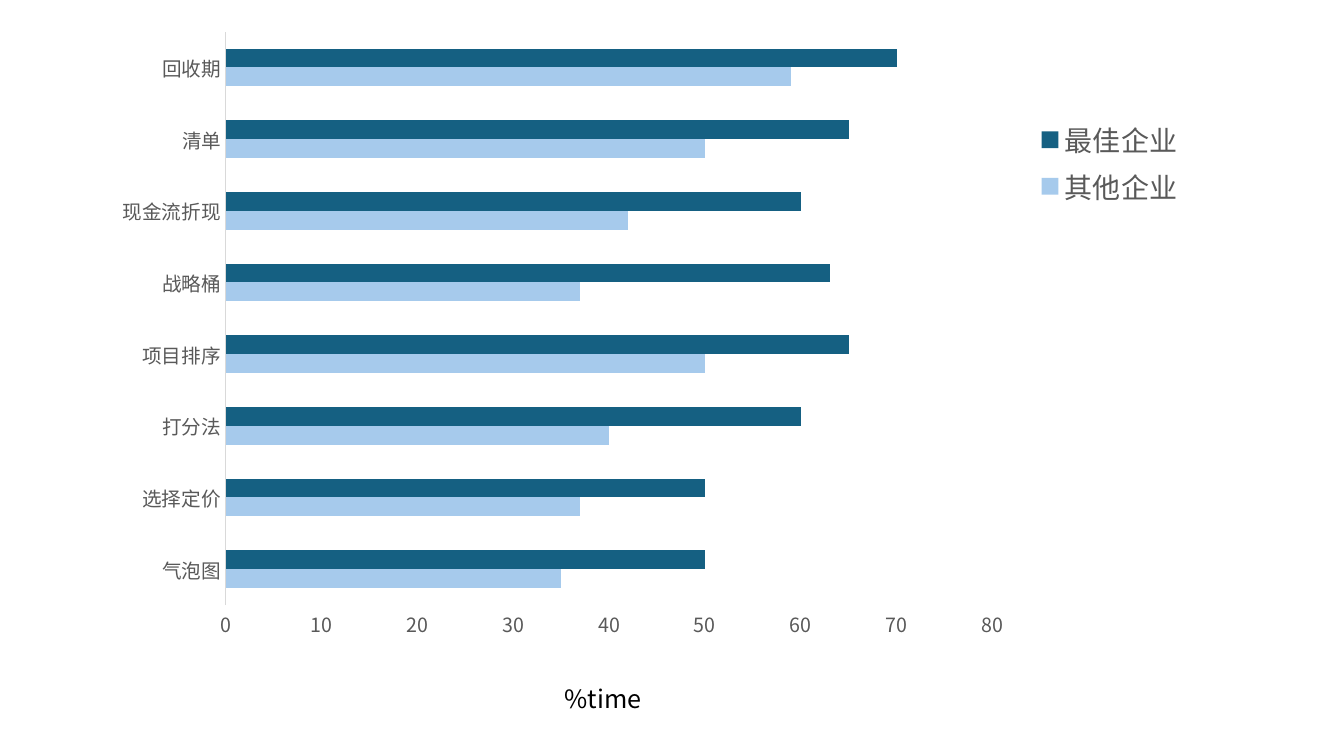
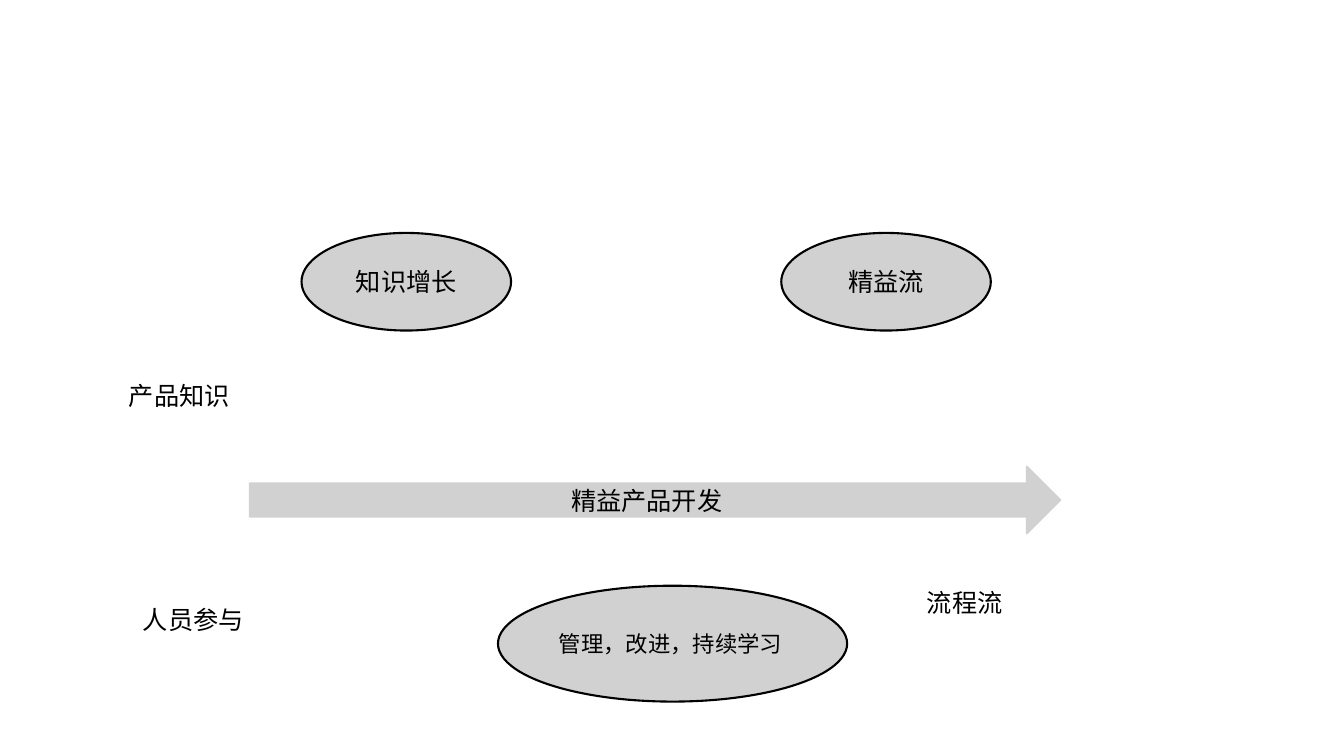
from dataclasses import dataclass

from lxml.etree import SubElement
from pptx import Presentation
from pptx.chart.data import CategoryChartData
from pptx.dml.color import RGBColor
from pptx.enum.chart import XL_CHART_TYPE, XL_LEGEND_POSITION, XL_TICK_MARK
from pptx.enum.shapes import MSO_SHAPE
from pptx.enum.text import MSO_ANCHOR, PP_ALIGN
from pptx.oxml.ns import qn
from pptx.util import Cm, Pt


@dataclass(frozen=True)
class Theme:
    font: str = "Noto Sans CJK SC"
    text: RGBColor = RGBColor(0x00, 0x00, 0x00)
    chart_text: RGBColor = RGBColor(0x59, 0x59, 0x59)
    axis: RGBColor = RGBColor(0xD9, 0xD9, 0xD9)
    grey: RGBColor = RGBColor(0xD1, 0xD1, 0xD1)
    dark_blue: RGBColor = RGBColor(0x15, 0x60, 0x82)
    light_blue: RGBColor = RGBColor(0xA6, 0xCA, 0xEC)
    axis_size: Pt = Pt(14)
    small_size: Pt = Pt(16)
    body_size: Pt = Pt(18)
    legend_size: Pt = Pt(20)
    outline: Pt = Pt(1.5)


theme = Theme()


def set_east_asian_font(element):
    for latin in list(element.iter(qn("a:latin"))):
        east_asian = SubElement(latin.getparent(), qn("a:ea"), typeface=theme.font)
        latin.addnext(east_asian)


def write_text(shape, text, size=theme.body_size, align=PP_ALIGN.LEFT, anchor=MSO_ANCHOR.MIDDLE):
    frame = shape.text_frame
    frame.word_wrap = True
    frame.vertical_anchor = anchor
    paragraph = frame.paragraphs[0]
    paragraph.alignment = align
    run = paragraph.add_run()
    run.text = text
    run.font.name = theme.font
    run.font.size = size
    run.font.color.rgb = theme.text
    set_east_asian_font(shape.element)


presentation = Presentation()
presentation.slide_width = Cm(33.87)
presentation.slide_height = Cm(19.05)
blank_layout = presentation.slide_layouts[6]

usage_slide = presentation.slides.add_slide(blank_layout)
chart_data = CategoryChartData()
chart_data.categories = ["气泡图", "选择定价", "打分法", "项目排序", "战略桶", "现金流折现", "清单", "回收期"]
chart_data.add_series("其他企业", [35, 37, 40, 50, 37, 42, 50, 59])
chart_data.add_series("最佳企业", [50, 50, 60, 65, 63, 60, 65, 70])
chart = usage_slide.shapes.add_chart(
    XL_CHART_TYPE.BAR_CLUSTERED, Cm(2.54), Cm(0.48), Cm(27.41), Cm(15.88), chart_data
).chart
chart.has_title = False
chart.has_legend = True
chart.legend.position = XL_LEGEND_POSITION.CORNER
chart.legend.include_in_layout = False

plot = chart.plots[0]
plot.gap_width = 182
plot.overlap = 0
plot.vary_by_categories = False
for series, color in zip(plot.series, (theme.light_blue, theme.dark_blue)):
    series.format.fill.solid()
    series.format.fill.fore_color.rgb = color

value_axis = chart.value_axis
category_axis = chart.category_axis
for axis in (value_axis, category_axis):
    axis.has_major_gridlines = False
    axis.major_tick_mark = XL_TICK_MARK.NONE
    axis.minor_tick_mark = XL_TICK_MARK.NONE
value_axis.minimum_scale = 0
value_axis.maximum_scale = 80
value_axis.major_unit = 10
value_axis.format.line.fill.background()
category_axis.format.line.color.rgb = theme.axis
category_axis.format.line.width = Pt(0.75)

for font, size in (
    (chart.font, theme.axis_size),
    (value_axis.tick_labels.font, theme.axis_size),
    (category_axis.tick_labels.font, theme.axis_size),
    (chart.legend.font, theme.legend_size),
):
    font.name = theme.font
    font.size = size
    font.color.rgb = theme.chart_text
set_east_asian_font(chart.element)

for tag, index, settings in (
    ("c:plotArea", 0, {"layoutTarget": "inner", "xMode": "edge", "yMode": "edge",
                       "x": 0.115, "y": 0.02, "w": 0.705, "h": 0.91}),
    ("c:legend", 1, {"xMode": "edge", "yMode": "edge", "x": 0.86, "y": 0.15}),
):
    area = next(chart.element.iter(qn(tag)))
    for old_layout in area.findall(qn("c:layout")):
        area.remove(old_layout)
    layout = SubElement(area, qn("c:layout"))
    area.insert(index, layout)
    manual_layout = SubElement(layout, qn("c:manualLayout"))
    for name, value in settings.items():
        SubElement(manual_layout, qn(f"c:{name}"), val=str(value))

axis_caption = usage_slide.shapes.add_shape(
    MSO_SHAPE.ROUNDED_RECTANGLE, Cm(13.23), Cm(17.02), Cm(9.09), Cm(1.14)
)
axis_caption.adjustments[0] = 0
axis_caption.shadow.inherit = False
axis_caption.fill.background()
axis_caption.line.fill.background()
axis_caption.text_frame.margin_left = Cm(1)
write_text(axis_caption, "%time")

lean_slide = presentation.slides.add_slide(blank_layout)
for preset, text, left, top, width, height, line_color, size, align in (
    (MSO_SHAPE.RIGHT_ARROW, "精益产品开发", 6.3, 11.76, 20.42, 1.68,
     theme.grey, theme.body_size, PP_ALIGN.CENTER),
    (MSO_SHAPE.OVAL, "知识增长", 7.6, 5.87, 5.28, 2.46,
     theme.text, theme.body_size, PP_ALIGN.CENTER),
    (MSO_SHAPE.OVAL, "精益流", 19.69, 5.87, 5.28, 2.46,
     theme.text, theme.body_size, PP_ALIGN.CENTER),
    (MSO_SHAPE.OVAL, "管理，改进，持续学习", 12.55, 14.76, 8.8, 2.92,
     theme.text, theme.small_size, PP_ALIGN.LEFT),
):
    shape = lean_slide.shapes.add_shape(preset, Cm(left), Cm(top), Cm(width), Cm(height))
    shape.shadow.inherit = False
    shape.fill.solid()
    shape.fill.fore_color.rgb = theme.grey
    shape.line.color.rgb = line_color
    shape.line.width = theme.outline
    write_text(shape, text, size=size, align=align)

for text, left, top in (
    ("产品知识", 3, 9.47),
    ("人员参与", 3.35, 15.11),
    ("流程流", 23.11, 14.68),
):
    label = lean_slide.shapes.add_textbox(Cm(left), Cm(top), Cm(3.35), Cm(1.02))
    write_text(label, text, anchor=MSO_ANCHOR.TOP)

presentation.save("out.pptx")
